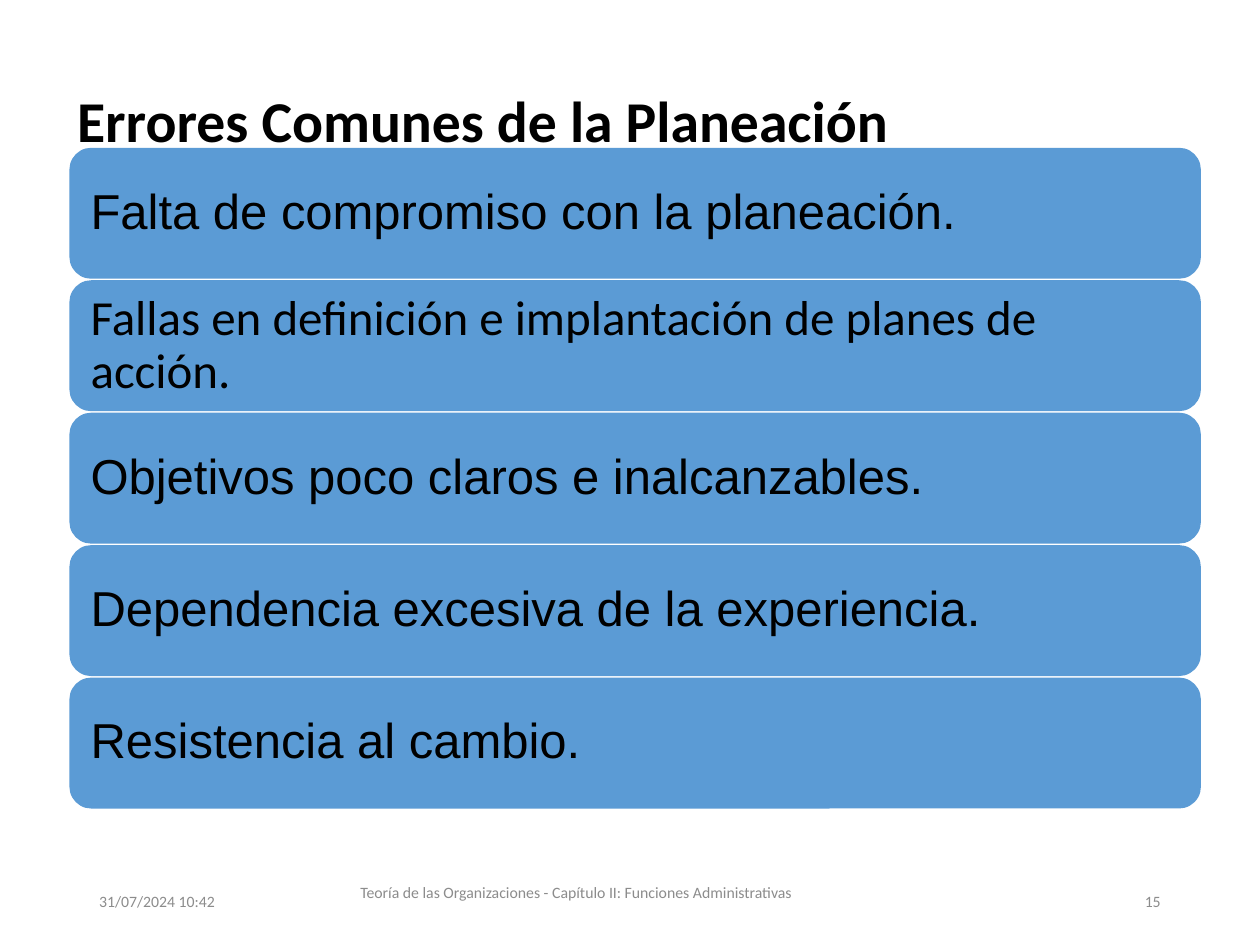
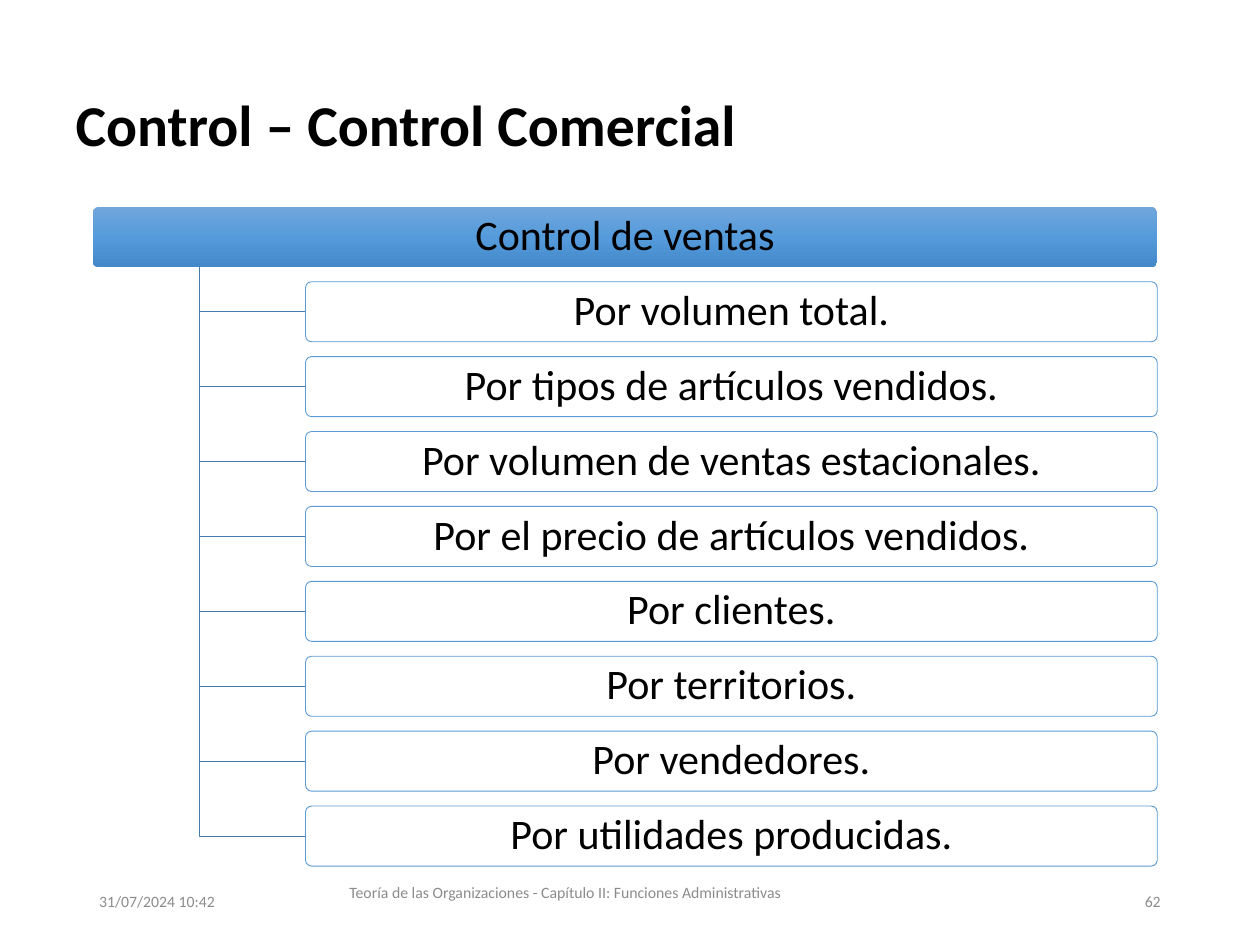
"""Builds two slides on planning errors and commercial control."""
import copy

from lxml import etree
from pptx import Presentation
from pptx import util as u
from pptx.dml.color import RGBColor
from pptx.enum import shapes, text
from pptx.oxml.ns import qn

COLOURS = {
    "ink": "000000",
    "footer": "8C8C8C",
    "bar": "5B9BD5",
    "branch": "497CAB",
    "item": "FFFFFF",
    "header_top": "71A6DB",
    "header_middle": "559BDB",
    "header_bottom": "448ACA",
}
FONT = "Calibri"
LEFT, CENTER, RIGHT, JUSTIFY = (
    text.PP_ALIGN.LEFT, text.PP_ALIGN.CENTER, text.PP_ALIGN.RIGHT, text.PP_ALIGN.JUSTIFY)

DATE = "31/07/2024 10:42"
CHAPTER = "Teoría de las Organizaciones - Capítulo II: Funciones Administrativas"
ERRORS = [
    ("Falta de compromiso con la planeación.", "Arial", JUSTIFY),
    ("Fallas en definición e implantación de planes de acción.", FONT, LEFT),
    ("Objetivos poco claros e inalcanzables.", "Arial", LEFT),
    ("Dependencia excesiva de la experiencia.", "Arial", LEFT),
    ("Resistencia al cambio.", "Arial", LEFT),
]
SALES_CONTROLS = [
    "Por volumen total.",
    "Por tipos de artículos vendidos.",
    "Por volumen de ventas estacionales.",
    "Por el precio de artículos vendidos.",
    "Por clientes.",
    "Por territorios.",
    "Por vendedores.",
    "Por utilidades producidas.",
]


def colour(name):
    return RGBColor.from_string(COLOURS[name])


def box(left, top, width, height):
    return [u.Cm(length) for length in (left, top, width, height)]


def write(frame, words, size, align=LEFT, font=FONT, ink="ink", bold=False, spacing=0.9):
    frame.word_wrap = True
    frame.auto_size = text.MSO_AUTO_SIZE.NONE
    frame.vertical_anchor = text.MSO_ANCHOR.MIDDLE
    frame.text = words
    paragraph = frame.paragraphs[0]
    paragraph.alignment = align
    paragraph.line_spacing = spacing
    paragraph.font.name = font
    paragraph.font.size = u.Pt(size)
    paragraph.font.bold = bold
    paragraph.font.color.rgb = colour(ink)


def add_titled_slide(deck, heading, left, top):
    slide = deck.slides.add_slide(deck.slide_layouts[5])
    title = slide.shapes.title
    title.left, title.top, title.width, title.height = box(left, top, 22.86, 3.18)
    write(title.text_frame, heading, 33, bold=True)
    return slide


def add_footer(slide, number, chapter_left, chapter_width):
    for words, area, align in (
        (DATE, (1.75, 17.65, 5.72, 1.02), LEFT),
        (CHAPTER, (chapter_left, 17.35, chapter_width, 1.27), CENTER),
        (number, (17.93, 17.65, 5.72, 1.02), RIGHT),
    ):
        note = slide.shapes.add_textbox(*box(*area))
        write(note.text_frame, words, 9, align, ink="footer", spacing=1.0)


def add_panel(slide, area, words, size, align, margins, font=FONT, rounding=None):
    panel = slide.shapes.add_shape(shapes.MSO_SHAPE.ROUNDED_RECTANGLE, *box(*area))
    panel.shadow.inherit = False
    panel.line.fill.background()
    if rounding:
        panel.adjustments[0] = rounding
    frame = panel.text_frame
    frame.margin_left = frame.margin_right = u.Cm(margins[0])
    frame.margin_top = frame.margin_bottom = u.Cm(margins[1])
    write(frame, words, size, align, font)
    return panel


def fill_solid(panel, name, opacity=100):
    panel.fill.solid()
    panel.fill.fore_color.rgb = colour(name)
    if opacity < 100:
        tint = panel.fill._xPr.find(qn("a:solidFill"))[0]
        etree.SubElement(tint, qn("a:alpha")).set("val", str(opacity * 1000))


def fill_header(panel):
    panel.fill.gradient()
    panel.fill.gradient_angle = 270
    stops = panel._element.spPr.find(qn("a:gradFill")).find(qn("a:gsLst"))
    stops.insert(1, copy.deepcopy(stops[0]))
    names = ("header_top", "header_middle", "header_bottom")
    for stop, name, position in zip(panel.fill.gradient_stops, names, (0, 0.5, 1)):
        stop.color.rgb = colour(name)
        stop.position = position


def outline(part, name):
    part.line.color.rgb = colour(name)
    part.line.width = u.Pt(0.5)


def add_branch(slide, trunk_x, start_y, item_x, item_y):
    corner_x, corner_y = u.Cm(trunk_x), u.Cm(item_y)
    builder = slide.shapes.build_freeform(corner_x, u.Cm(start_y))
    builder.add_line_segments(
        [(corner_x, corner_y), (u.Cm(item_x), corner_y)], close=False)
    branch = builder.convert_to_shape()
    branch.shadow.inherit = False
    branch.fill.background()
    outline(branch, "branch")


def add_error_bars(slide):
    top, pitch = 2.98, 2.67
    for row, (error, font, align) in enumerate(ERRORS):
        area = (1.4, top + row * pitch, 22.81, 2.64)
        bar = add_panel(slide, area, error, 28, align, (0.3, 0.3), font)
        fill_solid(bar, "bar")


def add_sales_tree(slide):
    top, pitch, height = 4.17, 1.51, 1.21
    trunk_x, item_x, right = 4.02, 6.16, 23.33
    header_left = 1.87
    style = (24, CENTER, (0.12, 0.08))
    header = add_panel(slide, (header_left, top, right - header_left, height),
                       "Control de ventas", *style, rounding=0.1)
    fill_header(header)
    for row, control in enumerate(SALES_CONTROLS, start=1):
        item_top = top + row * pitch
        add_branch(slide, trunk_x, top + height, item_x, item_top + height / 2)
        item = add_panel(slide, (item_x, item_top, right - item_x, height),
                         control, *style, rounding=0.1)
        fill_solid(item, "item", opacity=90)
        outline(item, "bar")


def main():
    deck = Presentation()
    deck.slide_width, deck.slide_height = u.Cm(25.4), u.Cm(19.05)

    planning = add_titled_slide(deck, "Errores Comunes de la Planeación", 1.3, 0.91)
    add_error_bars(planning)
    add_footer(planning, "15", 5.16, 12.9)

    control = add_titled_slide(deck, "Control – Control Comercial", 1.27, 0.99)
    add_sales_tree(control)
    add_footer(control, "62", 4.75, 13.28)

    deck.save("out.pptx")


if __name__ == "__main__":
    main()
